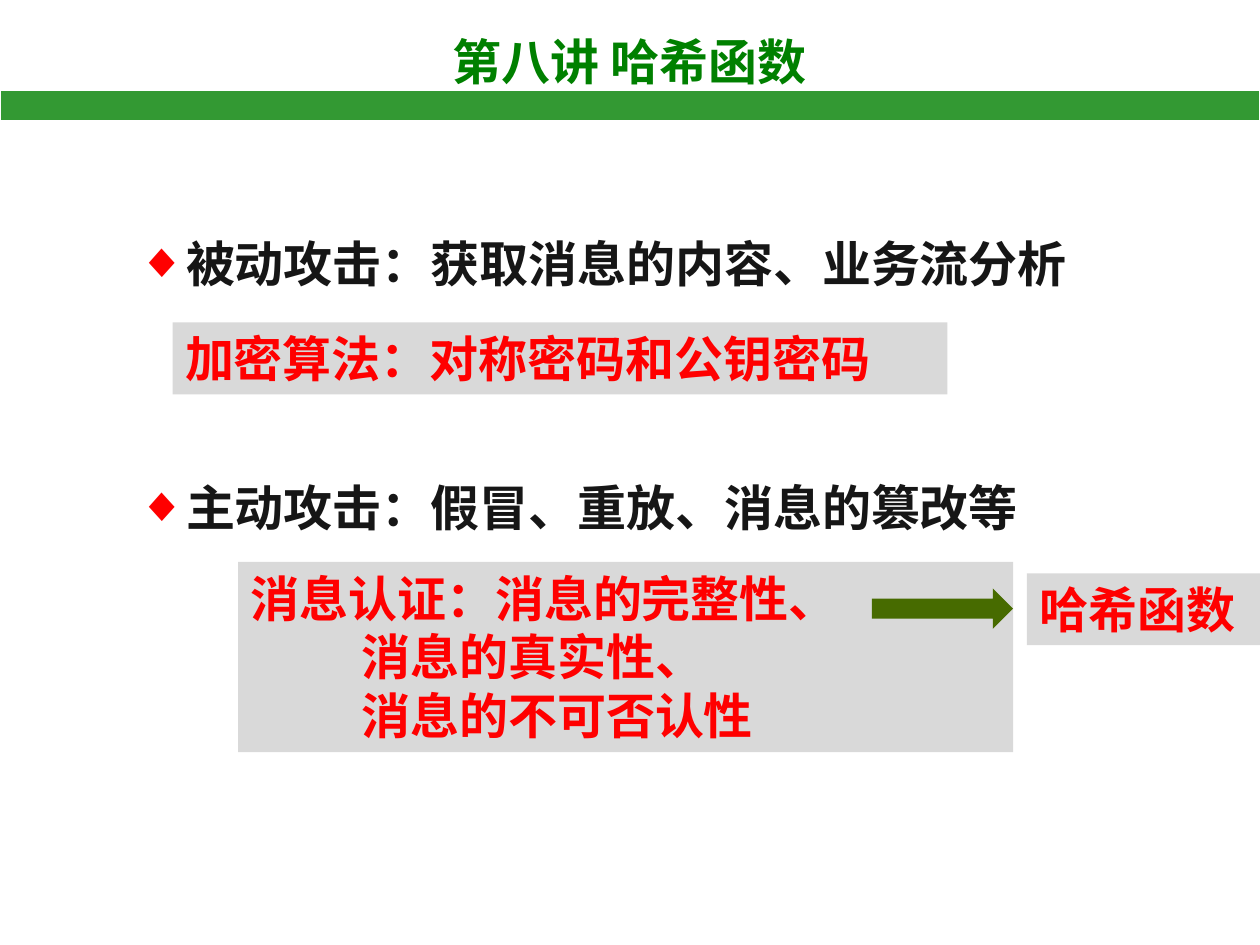
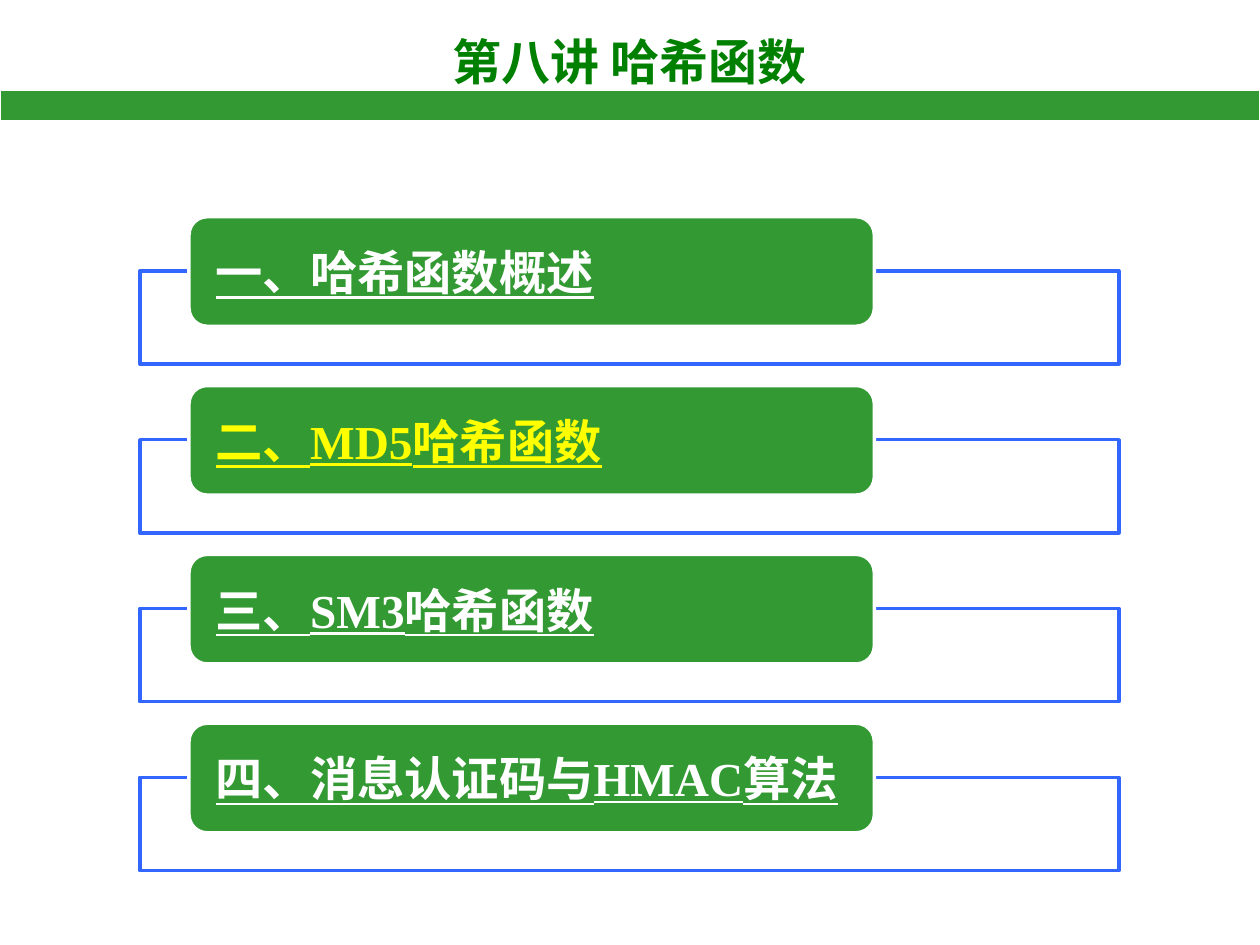
from dataclasses import dataclass

from lxml import etree
from pptx import Presentation
from pptx import util as u
from pptx.dml.color import RGBColor
from pptx.enum import shapes, text
from pptx.oxml import ns


@dataclass(frozen=True)
class Theme:
    title: str = "008000"
    green: str = "339933"
    arrow: str = "476B00"
    blue: str = "3366FF"
    white: str = "FFFFFF"
    grey: str = "D9D9D9"
    red: str = "FF0000"
    ink: str = "161616"
    gold: str = "FFFF00"
    sans: str = "Noto Sans CJK SC"
    serif: str = "Times New Roman"
    large: int = 28
    step: int = 27


def color(code):
    return RGBColor.from_string(code)


class Deck:
    def __init__(self, theme):
        self.theme = theme
        self.prs = Presentation()
        self.prs.slide_width = u.Inches(10)
        self.prs.slide_height = u.Inches(7.5)
        self.slide = None

    def start(self, layout, title):
        t = self.theme
        self.slide = self.prs.slides.add_slide(self.prs.slide_layouts[layout])
        head = self.slide.shapes.title
        self.place(head, 2.48, 0.2, 5.03, 0.57)
        frame = head.text_frame
        frame.text = title
        frame.auto_size = text.MSO_AUTO_SIZE.NONE
        frame.vertical_anchor = text.MSO_ANCHOR.TOP
        para = frame.paragraphs[0]
        para.alignment = text.PP_ALIGN.CENTER
        self.style(para, t.title)
        self.shape("RECTANGLE", 0, 0.72, 10, 0.24, t.green, t.white, 0.75)

    def place(self, item, *box):
        item.left, item.top, item.width, item.height = map(u.Inches, box)

    def style(self, para, ink, face=None, size=None, under=None):
        t = self.theme
        font = para.font
        font.name = face or t.sans
        font.size = u.Pt(size or t.large)
        font.bold = True
        font.underline = under
        font.color.rgb = color(ink)
        latin = font._element.find(ns.qn("a:latin"))
        east = etree.Element(ns.qn("a:ea"), typeface=t.sans)
        latin.addnext(east)

    def indent(self, para, left, hang=0):
        props = para._p.get_or_add_pPr()
        props.set("marL", str(u.Inches(left)))
        props.set("indent", str(u.Inches(hang)))
        return props

    def shape(self, kind, x, y, w, h, fill, line=None, width=1):
        item = self.slide.shapes.add_shape(
            shapes.MSO_SHAPE[kind], *map(u.Inches, (x, y, w, h)))
        item.shadow.inherit = False
        item.fill.solid()
        item.fill.fore_color.rgb = color(fill)
        if line:
            item.line.color.rgb = color(line)
            item.line.width = u.Pt(width)
        else:
            item.line.fill.background()
        return item

    def bullets(self, lines, gap):
        t = self.theme
        body = self.slide.placeholders[1]
        self.place(body, 0.5, 1.8, 9, 4.63)
        frame = body.text_frame
        frame.text = "\n".join(lines)
        frame.auto_size = text.MSO_AUTO_SIZE.NONE
        for i, para in enumerate(frame.paragraphs):
            para.line_spacing = 1
            para.space_before = u.Pt(gap if i else 0)
            props = self.indent(para, 0.79, -0.3)
            tint = etree.SubElement(props, ns.qn("a:buClr"))
            etree.SubElement(tint, ns.qn("a:srgbClr"), val=t.red)
            etree.SubElement(props, ns.qn("a:buChar"), char="◆")
            self.style(para, t.ink, t.serif)

    def note(self, x, y, w, h, lines):
        t = self.theme
        frame = self.shape("RECTANGLE", x, y, w, h, t.grey).text_frame
        frame.text = "\n".join(lines)
        frame.vertical_anchor = text.MSO_ANCHOR.TOP
        for i, para in enumerate(frame.paragraphs):
            para.alignment = text.PP_ALIGN.LEFT
            if i:
                self.indent(para, 0.88)
            self.style(para, t.red)

    def topic(self, y, label, ink):
        t = self.theme
        self.shape("RECTANGLE", 1.11, y + 0.43, 7.77, 0.74, t.white, t.blue, 2)
        pill = self.shape("ROUNDED_RECTANGLE", 1.5, y, 5.44, 0.87,
                          t.green, t.white, 2)
        frame = pill.text_frame
        frame.text = label
        frame.vertical_anchor = text.MSO_ANCHOR.MIDDLE
        frame.margin_left = frame.margin_right = u.Inches(0.17)
        frame.margin_top = frame.margin_bottom = 0
        para = frame.paragraphs[0]
        para.alignment = text.PP_ALIGN.LEFT
        self.style(para, ink, t.serif, t.step, True)


def main():
    theme = Theme()
    deck = Deck(theme)
    title = "第八讲 哈希函数"

    deck.start(1, title)
    deck.bullets(["被动攻击：获取消息的内容、业务流分析",
                  "主动攻击：假冒、重放、消息的篡改等"], 106)
    deck.note(1.37, 2.56, 6.15, 0.57, ["加密算法：对称密码和公钥密码"])
    deck.note(1.89, 4.46, 6.15, 1.51, ["消息认证：消息的完整性、",
                                       "消息的真实性、",
                                       "消息的不可否认性"])
    deck.shape("RIGHT_ARROW", 6.92, 4.67, 1.12, 0.32, theme.arrow)
    deck.note(8.15, 4.55, 1.85, 0.57, ["哈希函数"])

    deck.start(5, title)
    topics = ["一、哈希函数概述", "二、MD5哈希函数",
              "三、SM3哈希函数", "四、消息认证码与HMAC算法"]
    for i, label in enumerate(topics):
        deck.topic(1.72 + 1.34 * i, label, theme.gold if i == 1 else theme.white)

    deck.prs.save("out.pptx")


if __name__ == "__main__":
    main()
